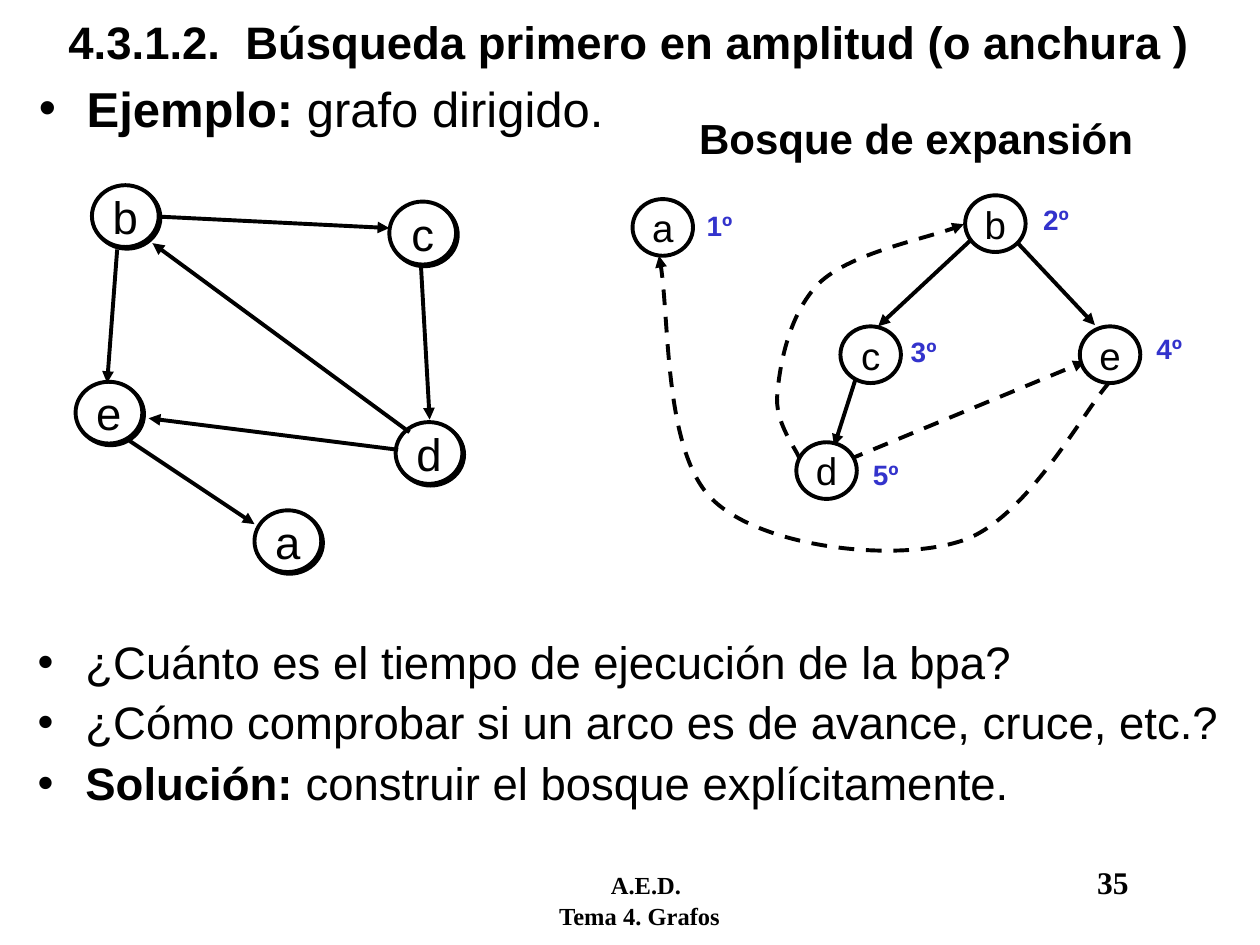
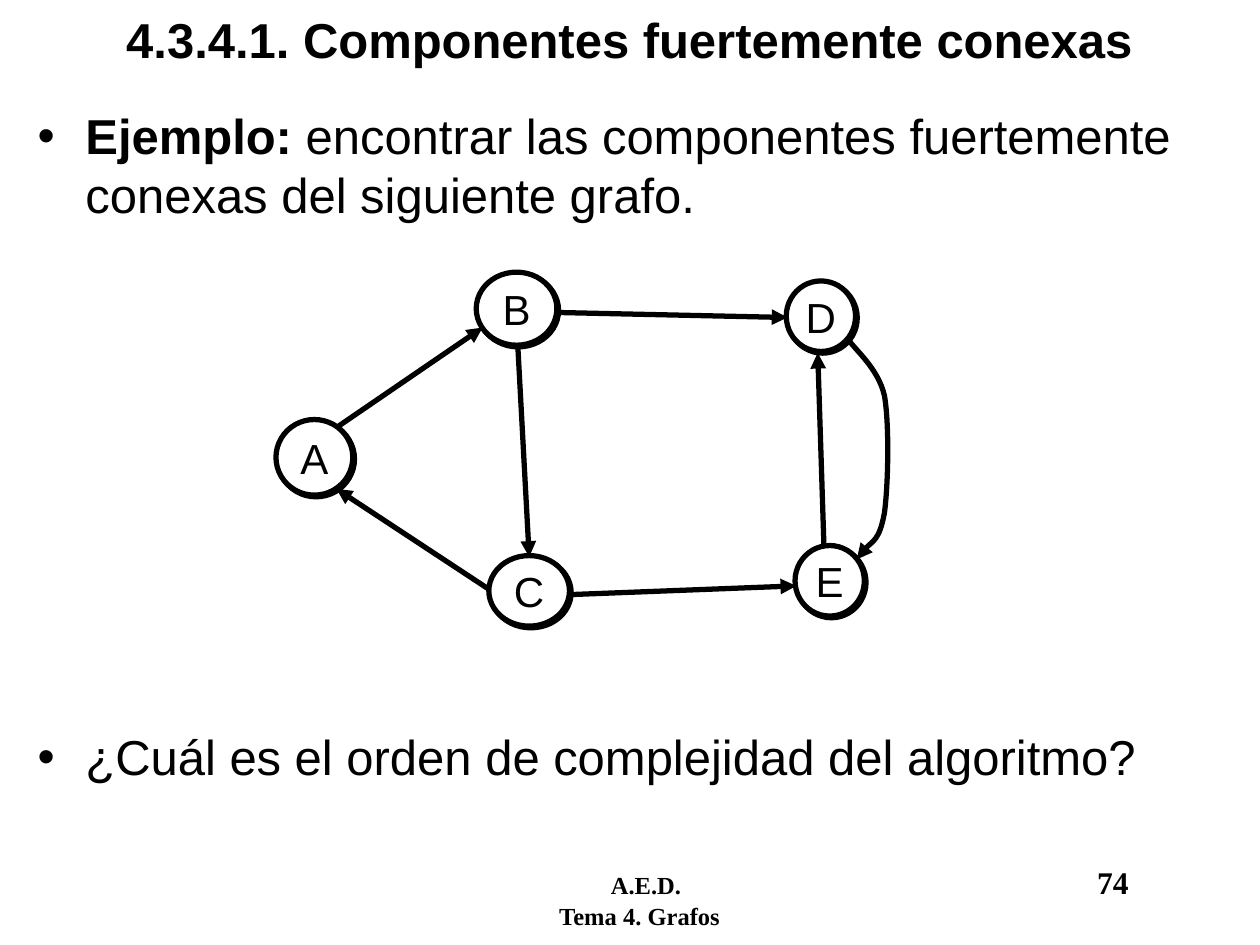
from lxml import etree
from pptx import Presentation
from pptx.dml.color import RGBColor
from pptx.enum import dml, shapes, text
from pptx.oxml import ns
from pptx.util import Inches, Pt

BLACK = RGBColor(0x00, 0x00, 0x00)
WHITE = RGBColor(0xFF, 0xFF, 0xFF)
BLUE = RGBColor(0x33, 0x33, 0xCC)

INSETS = {
    "margin_left": Inches(0.1),
    "margin_right": Inches(0.1),
    "margin_top": Inches(0.05),
    "margin_bottom": Inches(0.05),
}
CENTRED = {"alignment": text.PP_ALIGN.CENTER}
FOOTER_TABS = (1.13, 4.99)
FOOTER_INDENT = 0.72


def write(frame, paragraphs, size, color=BLACK, bold=False, name="Arial",
          bullet=False, tabs=(), wrap=True, anchor=text.MSO_ANCHOR.TOP, layout={}, gap=None):
    frame_format = INSETS | {"word_wrap": wrap, "vertical_anchor": anchor}
    for key, value in frame_format.items():
        setattr(frame, key, value)
    for index, runs in enumerate(paragraphs):
        paragraph = frame.add_paragraph() if index else frame.paragraphs[0]
        properties = paragraph._p.get_or_add_pPr()
        if bullet:
            properties.set("marL", str(Inches(0.38)))
            properties.set("indent", str(-Inches(0.38)))
            etree.SubElement(properties, ns.qn("a:buFont"), typeface="Arial")
            etree.SubElement(properties, ns.qn("a:buChar"), char="•")
        if tabs:
            stops = etree.SubElement(properties, ns.qn("a:tabLst"))
            for stop in tabs:
                etree.SubElement(stops, ns.qn("a:tab"), pos=str(Inches(stop)), algn="l")
        for key, value in layout.items():
            setattr(paragraph, key, value)
        if index and gap:
            paragraph.space_before = Pt(gap)
        for words, changes in runs:
            run = paragraph.add_run()
            run.text = words
            font_format = {"name": name, "size": Pt(size), "bold": bold} | changes
            for key, value in font_format.items():
                setattr(run.font, key, value)
            run.font.color.rgb = color


def style_edge(edge, width, dashed):
    edge.line.color.rgb = BLACK
    edge.line.width = Pt(width)
    if dashed:
        edge.line.dash_style = dml.MSO_LINE.DASH
    etree.SubElement(edge.line._get_or_add_ln(), ns.qn("a:tailEnd"), type="triangle")
    properties = edge._element.spPr
    if properties.find(ns.qn("a:effectLst")) is None:
        etree.SubElement(properties, ns.qn("a:effectLst"))


BOLD = {"bold": True}

pages = [
    {
        "number": "35",
        "title": "4.3.1.2.  Búsqueda primero en amplitud (o anchura )",
        "title_size": 26,
        "title_height": 0.65,
        "bodies": [
            ((0.21, 0.57, 5.05, 0.68), 28, {}, [
                [("Ejemplo: ", BOLD), ("grafo dirigido.", {})],
            ]),
            ((0.2, 5.03, 9.63, 1.53), 26, {"line_spacing": 0.9}, [
                [("¿Cuánto es el tiempo de ejecución de la bpa?", {})],
                [("¿Cómo comprobar si un arco es de avance, cruce, etc.?", {})],
                [("Solución:", BOLD), (" construir el bosque explícitamente.", {})],
            ]),
        ],
        "graphs": [
            {
                "size": 26, "width": 2.25, "shadow": True, "nodes_in_front": False,
                "nodes": [
                    ("b", 0.73, 1.47, 0.53, 0.49),
                    ("c", 3.09, 1.6, 0.53, 0.5),
                    ("e", 0.6, 3.03, 0.53, 0.49),
                    ("d", 3.14, 3.35, 0.53, 0.49),
                    ("a", 2.02, 4.05, 0.53, 0.49),
                ],
                "arrows": [
                    (1.27, 1.72, 3.09, 1.81, False),
                    (3.34, 2.09, 3.41, 3.33, False),
                    (0.93, 1.98, 0.85, 3.04, False),
                    (3.16, 3.57, 1.18, 3.32, False),
                    (3.25, 3.43, 1.21, 1.93, False),
                    (1.03, 3.5, 2.02, 4.16, False),
                ],
                "curves": [],
            },
            {
                "size": 22, "width": 2.25, "shadow": False, "nodes_in_front": True,
                "nodes": [
                    ("a", 5.02, 1.58, 0.48, 0.45),
                    ("b", 7.66, 1.55, 0.48, 0.45),
                    ("c", 6.67, 2.59, 0.48, 0.45),
                    ("e", 8.57, 2.59, 0.48, 0.45),
                    ("d", 6.32, 3.51, 0.48, 0.45),
                ],
                "arrows": [
                    (7.7, 1.91, 6.97, 2.59, False),
                    (6.79, 3.01, 6.62, 3.54, False),
                    (8.05, 1.9, 8.69, 2.58, False),
                    (6.73, 3.65, 8.61, 2.87, True),
                ],
                "curves": [
                    ([(8.81, 3.03), (8.61, 3.24), (8.14, 4.15), (7.61, 4.3),
                      (7.09, 4.46), (6.06, 4.35), (5.66, 3.97),
                      (5.27, 3.6), (5.32, 2.44), (5.23, 2.03)], True),
                    ([(6.35, 3.65), (6.32, 3.56), (6.14, 3.35), (6.17, 3.12),
                      (6.19, 2.88), (6.27, 2.46), (6.52, 2.23),
                      (6.77, 2.01), (7.42, 1.88), (7.65, 1.78)], True),
                ],
            },
        ],
    },
    {
        "number": "74",
        "title": "4.3.4.1. Componentes fuertemente conexas",
        "title_size": 28,
        "title_height": 0.61,
        "bodies": [
            ((0.2, 0.79, 9.53, 1.24), 28, {}, [
                [("Ejemplo:", BOLD),
                 (" encontrar las componentes fuertemente conexas del siguiente grafo.", {})],
            ]),
            ((0.2, 5.72, 9.53, 1.03), 28, {}, [
                [("¿Cuál es el orden de complejidad del algoritmo?", {})],
            ]),
        ],
        "graphs": [
            {
                "size": 24, "width": 3, "shadow": True, "nodes_in_front": False,
                "nodes": [
                    ("A", 2.19, 3.33, 0.61, 0.6),
                    ("B", 3.78, 2.16, 0.64, 0.58),
                    ("C", 3.88, 4.41, 0.64, 0.56),
                    ("E", 6.31, 4.33, 0.55, 0.56),
                    ("D", 6.24, 2.23, 0.55, 0.56),
                ],
                "arrows": [
                    (2.69, 3.38, 3.83, 2.6, False),
                    (3.87, 4.67, 2.67, 3.88, False),
                    (4.11, 2.75, 4.2, 4.42, False),
                    (4.42, 2.48, 6.25, 2.52, False),
                    (4.51, 4.72, 6.32, 4.65, False),
                    (6.54, 4.35, 6.49, 2.8, False),
                ],
                "curves": [
                    ([(6.73, 2.69), (6.78, 2.77), (6.97, 2.92), (7.02, 3.14),
                      (7.06, 3.37), (7.05, 3.85), (7.02, 4.07),
                      (6.98, 4.29), (6.84, 4.36), (6.8, 4.44)], False),
                ],
            },
        ],
    },
]

deck = Presentation()
deck.slide_width = Inches(10)
deck.slide_height = Inches(7.5)

for page in pages:
    slide = deck.slides.add_slide(deck.slide_layouts[6])

    footer = slide.shapes.add_textbox(Inches(3.62), Inches(6.8), Inches(5.8), Inches(0.5))
    write(footer.text_frame,
          [[("\tA.E.D.\t", {}), (page["number"], {"size": Pt(18)})], [("Tema 4. Grafos", {})]],
          14, bold=True, name="Times New Roman", tabs=FOOTER_TABS)
    topic = footer.text_frame.paragraphs[1]
    topic._p.get_or_add_pPr().set("marL", str(Inches(FOOTER_INDENT)))

    title = slide.shapes.add_textbox(
        Inches(0.33), Inches(0), Inches(9.33), Inches(page["title_height"]))
    write(title.text_frame, [[(page["title"], {})]], page["title_size"], bold=True,
          anchor=text.MSO_ANCHOR.MIDDLE, layout=CENTRED)

    for place, size, layout, paragraphs in page["bodies"]:
        body = slide.shapes.add_textbox(*map(Inches, place))
        write(body.text_frame, paragraphs, size, bullet=True, layout=layout, gap=6.5)

    for graph in page["graphs"]:
        nodes = []
        for label, *place in graph["nodes"]:
            node = slide.shapes.add_shape(shapes.MSO_SHAPE.OVAL, *map(Inches, place))
            node.fill.solid()
            node.fill.fore_color.rgb = WHITE
            node.line.color.rgb = BLACK
            node.line.width = Pt(graph["width"])
            node.shadow.inherit = False
            if graph["shadow"]:
                effects = node._element.spPr.find(ns.qn("a:effectLst"))
                shadow = etree.SubElement(effects, ns.qn("a:outerShdw"), dist=str(Pt(1.4)),
                                          dir="2700000", algn="ctr", rotWithShape="0")
                etree.SubElement(shadow, ns.qn("a:srgbClr"), val=str(BLACK))
            write(node.text_frame, [[(label, {})]], graph["size"], wrap=False,
                  anchor=text.MSO_ANCHOR.MIDDLE, layout=CENTRED)
            nodes.append(node)

        for *ends, dashed in graph["arrows"]:
            arrow = slide.shapes.add_connector(
                shapes.MSO_CONNECTOR.STRAIGHT, *map(Inches, ends))
            style_edge(arrow, graph["width"], dashed)

        for points, dashed in graph["curves"]:
            start, *others = [(Inches(x), Inches(y)) for x, y in points]
            builder = slide.shapes.build_freeform(*start)
            builder.add_line_segments(others, close=False)
            curve = builder.convert_to_shape()
            curve.fill.background()
            curve.shadow.inherit = False
            segments = list(curve._element.iter(ns.qn("a:lnTo")))
            outline = segments[0].getparent()
            for first in range(0, len(segments), 3):
                bezier = etree.SubElement(outline, ns.qn("a:cubicBezTo"))
                for segment in segments[first:first + 3]:
                    bezier.append(segment[0])
                    outline.remove(segment)
            style_edge(curve, graph["width"], dashed)

        if graph["nodes_in_front"]:
            for node in nodes:
                node._element.getparent().append(node._element)

forest = deck.slides[0]
heading = forest.shapes.add_textbox(Inches(5.45), Inches(0.84), Inches(3.79), Inches(0.58))
write(heading.text_frame, [[("Bosque de expansión", {})]], 24, bold=True)

visit_places = [(5.51, 1.61), (8.18, 1.56), (7.13, 2.61), (9.08, 2.58), (6.83, 3.58)]
for order, (left, top) in enumerate(visit_places, start=1):
    visit = forest.shapes.add_textbox(Inches(left), Inches(top), Inches(0.73), Inches(0.37))
    write(visit.text_frame, [[(f"{order}º", {})]], 16, color=BLUE, bold=True)

deck.save("out.pptx")
